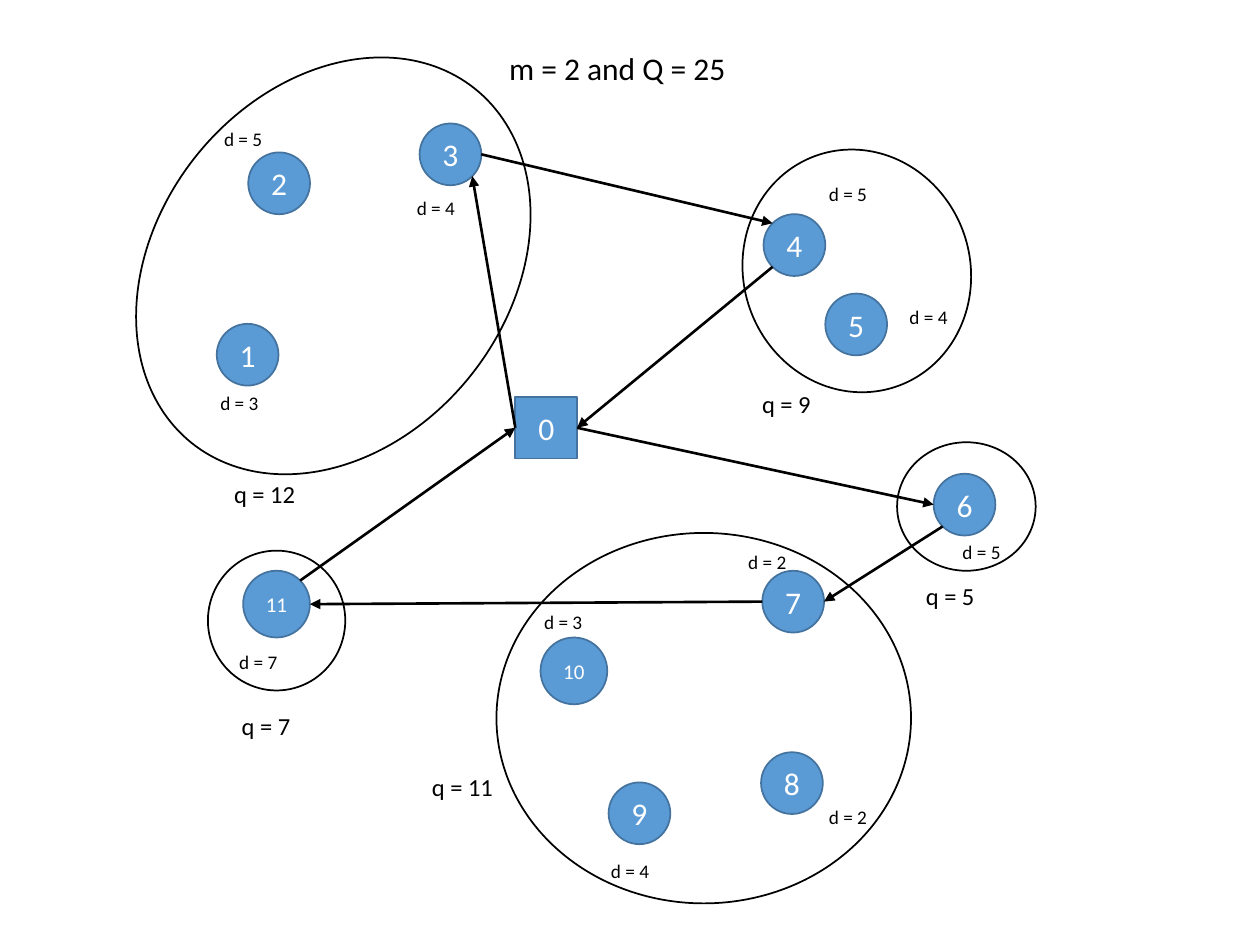
from lxml.etree import SubElement
from pptx import Presentation
from pptx.dml.color import RGBColor
from pptx.enum.shapes import MSO_CONNECTOR, MSO_SHAPE
from pptx.enum.text import MSO_ANCHOR, PP_ALIGN
from pptx.oxml.ns import qn
from pptx.util import Inches, Pt

COLORS = {"node": "5B9BD5", "edge": "43739E", "ink": "000000", "light": "FFFFFF"}
FONT = "Calibri"
TITLE = "m = 2 and Q = 25"
NODE_SIZE, WIDE_NODE_SIZE = 0.49, 0.53

# Left, top, width, height, rotation; then total demand and its label position
CLUSTERS = [
    ((1.25, 0.31, 2.79, 3.6, 38.6), 12, (1.76, 3.75)),
    ((5.9, 1.18, 1.8, 1.94, 341.4), 9, (5.95, 3.04)),
    ((7.12, 3.51, 1.1, 1.02, 0), 5, (7.25, 4.56)),
    ((3.94, 4.23, 3.29, 2.94, 0), 11, (3.33, 6.08)),
    ((1.65, 4.37, 1.09, 1.11, 0), 7, (1.82, 5.59)),
]

# Customer: left, top; then demand and its label position
CUSTOMERS = {
    1: ((1.72, 2.57), 3, (1.65, 3.06)),
    2: ((1.97, 1.21), 5, (1.68, 0.96)),
    3: ((3.33, 0.98), 4, (3.21, 1.51)),
    4: ((6.06, 1.7), 5, (6.48, 1.4)),
    5: ((6.55, 2.33), 4, (7.12, 2.37)),
    6: ((7.41, 3.76), 5, (7.54, 4.24)),
    7: ((6.05, 4.53), 2, (5.84, 4.32)),
    8: ((6.04, 5.97), 2, (6.48, 6.34)),
    9: ((4.83, 6.21), 4, (4.75, 6.77)),
    10: ((4.29, 5.06), 3, (4.22, 4.79)),
    11: ((1.93, 4.53), 7, (1.8, 5.11)),
}
DEPOT = 0
DEPOT_POSITION = (4.09, 3.15)

# Each leg: start node, side it leaves from, end node, side it reaches
ROUTES = [
    [(0, "left", 3, "lower right"), (3, "right", 4, "upper left"),
     (4, "lower left", 0, "right")],
    [(0, "right", 6, "left"), (6, "lower left", 7, "right"),
     (7, "left", 11, "right"), (11, "upper right", 0, "left")],
]
DIAGONAL = 0.5 ** 0.5
SIDES = {
    "left": (-1, 0), "right": (1, 0),
    "upper left": (-DIAGONAL, -DIAGONAL), "upper right": (DIAGONAL, -DIAGONAL),
    "lower left": (-DIAGONAL, DIAGONAL), "lower right": (DIAGONAL, DIAGONAL),
}


def color(name):
    return RGBColor.from_string(COLORS[name])


def write(shape, text, size, ink="ink", align=PP_ALIGN.LEFT, anchor=MSO_ANCHOR.TOP):
    frame = shape.text_frame
    frame.word_wrap = False
    frame.vertical_anchor = anchor
    para = frame.paragraphs[0]
    para.alignment = align
    span = para.add_run()
    span.text = text
    span.font.name = FONT
    span.font.size = Pt(size)
    span.font.color.rgb = color(ink)


def add_label(page, text, position, width, height, size):
    box = page.shapes.add_textbox(*map(Inches, (*position, width, height)))
    write(box, text, size)


def add_outlined(page, kind, bounds, line):
    shape = page.shapes.add_shape(kind, *map(Inches, bounds))
    shape.shadow.inherit = False
    shape.line.color.rgb = color(line)
    shape.line.width = Pt(1)
    return shape


def add_cluster(page, bounds):
    *frame, rotation = bounds
    ring = add_outlined(page, MSO_SHAPE.OVAL, frame, "ink")
    ring.fill.background()
    ring.rotation = rotation


def node_size(number):
    return WIDE_NODE_SIZE if number > 9 else NODE_SIZE


def add_node(page, number, position):
    kind = MSO_SHAPE.RECTANGLE if number == DEPOT else MSO_SHAPE.OVAL
    size = node_size(number)
    node = add_outlined(page, kind, (*position, size, size), "edge")
    node.fill.solid()
    node.fill.fore_color.rgb = color("node")
    write(node, str(number), 12 if number > 9 else 18, ink="light",
          align=PP_ALIGN.CENTER, anchor=MSO_ANCHOR.MIDDLE)


def edge_point(number, side):
    """Return the point on a node's outline at the named side."""
    position = DEPOT_POSITION if number == DEPOT else CUSTOMERS[number][0]
    radius = node_size(number) / 2
    return [Inches(start + radius * (1 + step))
            for start, step in zip(position, SIDES[side])]


def add_arrow(page, start, start_side, end, end_side):
    arrow = page.shapes.add_connector(
        MSO_CONNECTOR.STRAIGHT,
        *edge_point(start, start_side), *edge_point(end, end_side))
    arrow.line.color.rgb = color("ink")
    arrow.line.width = Pt(1.5)
    SubElement(arrow.line._get_or_add_ln(), qn("a:tailEnd"), type="triangle")
    SubElement(arrow._element.spPr, qn("a:effectLst"))


def main():
    deck = Presentation()
    deck.slide_width, deck.slide_height = Inches(10), Inches(7.5)
    page = deck.slides.add_slide(deck.slide_layouts[5])

    title = page.shapes.title
    title.left, title.top, title.width, title.height = map(
        Inches, (3.94, 0.34, 2.27, 0.4))
    write(title, TITLE, 18)

    for bounds, _, _ in CLUSTERS:
        add_cluster(page, bounds)
    for number, (position, _, _) in CUSTOMERS.items():
        add_node(page, number, position)
    add_node(page, DEPOT, DEPOT_POSITION)
    for route in ROUTES:
        for leg in route:
            add_arrow(page, *leg)
    for _, demand, position in CUSTOMERS.values():
        add_label(page, f"d = {demand}", position, 0.73, 0.29, 11)
    for _, total, position in CLUSTERS:
        add_label(page, f"q = {total}", position, 0.7, 0.34, 14)

    deck.save("out.pptx")


if __name__ == "__main__":
    main()
